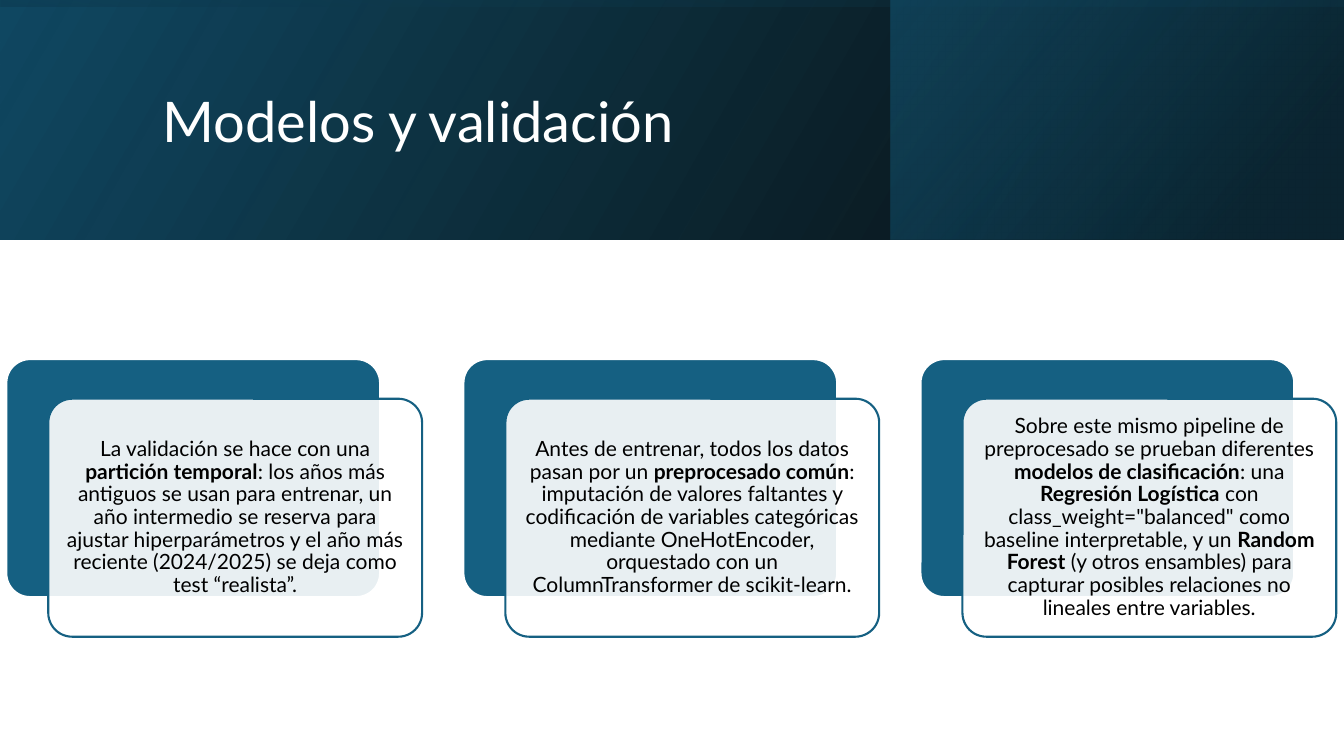
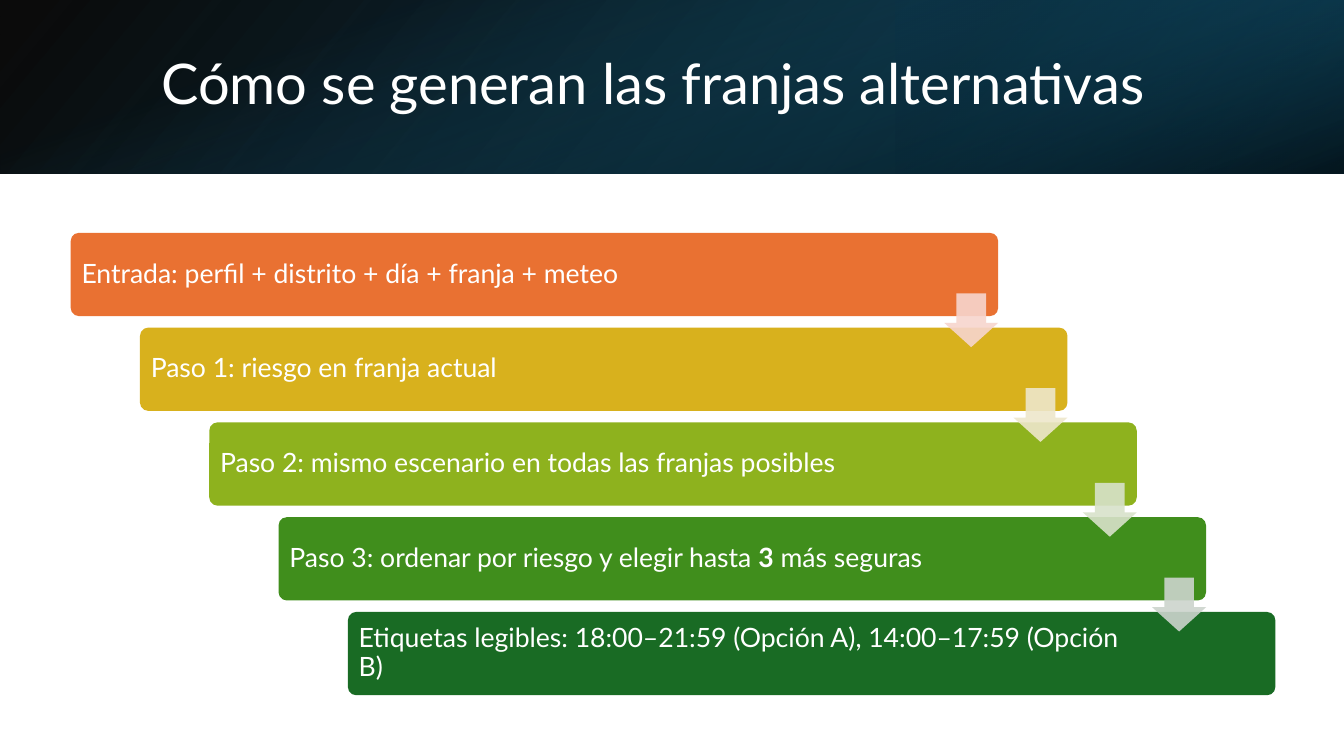
from dataclasses import dataclass
from typing import NamedTuple

from lxml import etree
from pptx import Presentation
from pptx.dml.color import RGBColor
from pptx.enum.shapes import MSO_SHAPE as Kind
from pptx.enum.text import MSO_ANCHOR as Anchor, MSO_AUTO_SIZE as Fit, PP_ALIGN as Align
from pptx.oxml.ns import qn
from pptx.util import Pt

WIDE, HIGH = 960, 540
FONT = "Lato"
HUES = {
    "white": "FFFFFF", "black": "000000", "navy": "104862",
    "deep": "0B3041", "teal": "156082",
    "orange": "E97132", "gold": "D8B11D", "lime": "8EB21E",
    "green": "408E1C", "forest": "196B24",
    "peach": "F7D5CE", "cream": "EEE7CB", "mint": "D8E2CA", "mist": "CCD4CD",
}


class Box(NamedTuple):
    left: float
    top: float
    width: float
    height: float

    def shift(self, right: float, down: float) -> "Box":
        return self._replace(left=self.left + right, top=self.top + down)


class Stop(NamedTuple):
    place: int
    hue: str
    alpha: int = 100


@dataclass
class Band:
    box: Box
    stops: list[Stop]
    angle: int
    turn: int = 0
    flip: bool = True


@dataclass
class Step:
    text: str
    hue: str
    arrow: str = ""


def add_hue(node, hue: str, alpha: int) -> None:
    tone = etree.SubElement(node, qn("a:srgbClr"), val=HUES[hue])
    if alpha < 100:
        etree.SubElement(tone, qn("a:alpha"), val=str(alpha * 1000))


def add_shape(slide, kind, box: Box, hue: str = "white", alpha: int = 100,
              line: str = "", adjust: tuple = ()):
    shape = slide.shapes.add_shape(kind, *map(Pt, box))
    shape.shadow.inherit = False
    for spot, value in enumerate(adjust):
        shape.adjustments[spot] = value
    shape.fill.solid()
    shape.fill.fore_color.rgb = RGBColor.from_string(HUES[hue])
    if alpha < 100:
        fill = shape._element.spPr.find(qn("a:solidFill"))
        fill.clear()
        add_hue(fill, hue, alpha)
    if line:
        shape.line.color.rgb = RGBColor.from_string(HUES[line])
        shape.line.width = Pt(1.5)
    else:
        shape.line.fill.background()
    return shape


def write(frame, text: str, size: float, hue: str = "white", align=Align.LEFT,
          inset: float = 7.2, right: float | None = None) -> None:
    """Fill a frame with one paragraph; **marks** enclose bold words."""
    frame.word_wrap = True
    frame.auto_size = Fit.NONE
    frame.vertical_anchor = Anchor.MIDDLE
    frame.margin_left = frame.margin_top = frame.margin_bottom = Pt(inset)
    frame.margin_right = Pt(inset if right is None else right)
    para = frame.paragraphs[0]
    para.alignment = align
    para.line_spacing = 0.9
    for spot, part in enumerate(text.split("**")):
        run = para.add_run()
        run.text = part
        run.font.name = FONT
        run.font.size = Pt(size)
        run.font.bold = spot % 2 == 1
        run.font.color.rgb = RGBColor.from_string(HUES[hue])


def add_band(slide, band: Band) -> None:
    shape = add_shape(slide, Kind.RECTANGLE, band.box)
    shape.rotation = band.turn
    props = shape._element.spPr
    if band.flip:
        props.find(qn("a:xfrm")).set("flipH", "1")
    grad = etree.Element(qn("a:gradFill"), rotWithShape="1")
    stops = etree.SubElement(grad, qn("a:gsLst"))
    for stop in band.stops:
        node = etree.SubElement(stops, qn("a:gs"), pos=str(stop.place * 1000))
        add_hue(node, stop.hue, stop.alpha)
    etree.SubElement(grad, qn("a:lin"), ang=str(band.angle * 60000), scaled="0")
    props.replace(props.find(qn("a:solidFill")), grad)


def start(deck, text: str, box: Box, bands: list[Band]):
    """Add a slide with its header bands and the title above them."""
    slide = deck.slides.add_slide(deck.slide_layouts[5])
    for band in bands:
        add_band(slide, band)
    title = slide.shapes.title
    title.left, title.top, title.width, title.height = map(Pt, box)
    write(title.text_frame, text, 40)
    slide.shapes._spTree.append(title._element)
    return slide


def header(high: float, split: float, base: int, glow: int, turns: tuple,
           veil: list[Stop], tilt: int, flip: bool) -> list[Band]:
    """Base band, right-hand glow, and a turned veil over the full width."""
    return [
        Band(Box(0, 0, WIDE, high), [Stop(0, "black", 96), Stop(100, "navy")], base),
        Band(Box(split, 0, WIDE - split, high),
             [Stop(19, "deep", 68), Stop(100, "teal", glow)], 320, turns[0]),
        Band(Box((WIDE - high) / 2, (high - WIDE) / 2, high, WIDE),
             veil, tilt, turns[1], flip),
    ]


CARDS = [
    "La validación se hace con una **partición temporal**: los años más antiguos "
    "se usan para entrenar, un año intermedio se reserva para ajustar "
    "hiperparámetros y el año más reciente (2024/2025) se deja como test “realista”.",
    "Antes de entrenar, todos los datos pasan por un **preprocesado común**: "
    "imputación de valores faltantes y codificación de variables categóricas "
    "mediante OneHotEncoder, orquestado con un ColumnTransformer de scikit-learn.",
    "Sobre este mismo pipeline de preprocesado se prueban diferentes **modelos de "
    "clasificación**: una **Regresión Logística** con class_weight=\"balanced\" como "
    "baseline interpretable, y un **Random Forest** (y otros ensambles) para "
    "capturar posibles relaciones no lineales entre variables.",
]
STEPS = [
    Step("Entrada: perfil + distrito + día + franja + meteo", "orange", "peach"),
    Step("Paso 1: riesgo en franja actual", "gold", "cream"),
    Step("Paso 2: mismo escenario en todas las franjas posibles", "lime", "mint"),
    Step("Paso 3: ordenar por riesgo y elegir hasta **3** más seguras", "green", "mist"),
    Step("Etiquetas legibles: 18:00–21:59 (Opción A), 14:00–17:59 (Opción B)", "forest"),
]


def draw_cards(deck) -> None:
    bands = header(171, 636, 330, 48, (0, 270),
                   [Stop(23, "navy", 16), Stop(99, "black", 45)], 350, True)
    slide = start(deck, "Modelos y validación", Box(109, 27, 765, 124), bands)
    first = Box(4.5, 256.5, 267, 170)
    for spot, text in enumerate(CARDS):
        back = first.shift(spot * 326.5, 0)
        add_shape(slide, Kind.ROUNDED_RECTANGLE, back, "teal", line="white", adjust=(0.1,))
        card = add_shape(slide, Kind.ROUNDED_RECTANGLE, back.shift(30, 28.3),
                         alpha=90, line="teal", adjust=(0.1,))
        write(card.text_frame, text, 15, "black", Align.CENTER, inset=4.5)


def draw_steps(deck) -> None:
    bands = header(124, 640, 140, 79, (180, 90),
                   [Stop(23, "teal", 0), Stop(99, "black", 74)], 340, False)
    slide = start(deck, "Cómo se generan las franjas alternativas",
                  Box(108, 27, 791, 69), bands)
    first = Box(50.5, 166.3, 662.5, 59.5)
    size = 38.5
    boxes = [first.shift(spot * 49.5, spot * 67.7) for spot in range(len(STEPS))]
    for step, box in zip(STEPS, boxes):
        bar = add_shape(slide, Kind.ROUNDED_RECTANGLE, box, step.hue, adjust=(0.1,))
        write(bar.text_frame, step.text, 19, inset=6, right=93)
    for step, box in zip(STEPS, boxes):
        if step.arrow:
            spot = Box(box.left + box.width - size, box.top + 43.2, size, size)
            add_shape(slide, Kind.DOWN_ARROW, spot, step.arrow, 90, adjust=(0.55, 0.45))


def main() -> None:
    deck = Presentation()
    deck.slide_width, deck.slide_height = Pt(WIDE), Pt(HIGH)
    draw_cards(deck)
    draw_steps(deck)
    deck.save("out.pptx")


if __name__ == "__main__":
    main()
